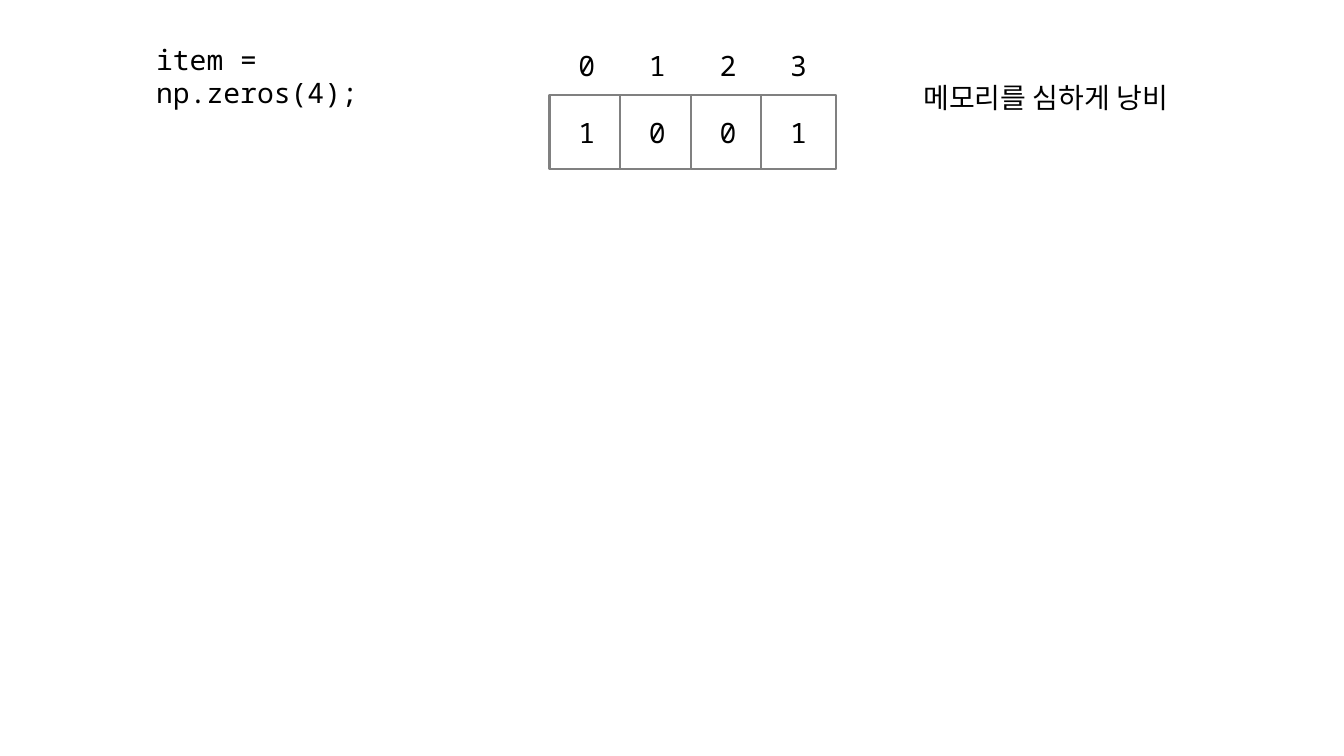
import dataclasses

import pptx
import pptx.dml.color
import pptx.enum.shapes
import pptx.enum.text
import pptx.util

EMU_PER_PX = 9144


@dataclasses.dataclass(frozen=True)
class Theme:
    text: str = "000000"
    cell_fill: str = "FFFFFF"
    cell_line: str = "808080"
    font: str = "Noto Sans Mono"
    text_size: int = 20
    line_width: float = 1.5


@dataclasses.dataclass(frozen=True)
class Label:
    text: str
    left: int
    top: int
    width: int
    height: int


@dataclasses.dataclass(frozen=True)
class ArrayItem:
    index: int
    value: int


THEME = Theme()
LABELS = [
    Label("item = np.zeros(4);", 145, 37, 313, 77),
    Label("메모리를 심하게 낭비", 906, 75, 303, 44),
]
ITEMS = [ArrayItem(index, value) for index, value in enumerate([1, 0, 0, 1])]
CELL_SIZE = 74
CELL_PITCH = 70
ARRAY_LEFT = 545
VALUE_TOP = 94
INDEX_TOP = 28


def px(length: int) -> pptx.util.Emu:
    return pptx.util.Emu(length * EMU_PER_PX)


def rgb(code: str) -> pptx.dml.color.RGBColor:
    return pptx.dml.color.RGBColor.from_string(code)


def write_text(shape, text: str) -> None:
    frame = shape.text_frame
    frame.word_wrap = True
    frame.text = text
    for span in frame.paragraphs[0].runs:
        span.font.name = THEME.font
        span.font.size = pptx.util.Pt(THEME.text_size)
        span.font.color.rgb = rgb(THEME.text)


def center_text(shape) -> None:
    frame = shape.text_frame
    frame.margin_left = frame.margin_right = px(4)
    frame.margin_top = frame.margin_bottom = px(5)
    frame.vertical_anchor = pptx.enum.text.MSO_ANCHOR.MIDDLE
    frame.paragraphs[0].alignment = pptx.enum.text.PP_ALIGN.CENTER


def add_label(page, label: Label):
    box = page.shapes.add_textbox(
        px(label.left), px(label.top), px(label.width), px(label.height)
    )
    write_text(box, label.text)
    return box


def add_value_cell(page, item: ArrayItem) -> None:
    cell = page.shapes.add_shape(
        pptx.enum.shapes.MSO_SHAPE.RECTANGLE,
        px(ARRAY_LEFT + item.index * CELL_PITCH),
        px(VALUE_TOP),
        px(CELL_SIZE),
        px(CELL_SIZE),
    )
    cell.shadow.inherit = False
    cell.fill.solid()
    cell.fill.fore_color.rgb = rgb(THEME.cell_fill)
    cell.line.color.rgb = rgb(THEME.cell_line)
    cell.line.width = pptx.util.Pt(THEME.line_width)
    write_text(cell, str(item.value))
    center_text(cell)


def add_index(page, item: ArrayItem) -> None:
    left = ARRAY_LEFT + item.index * CELL_PITCH
    label = Label(str(item.index), left, INDEX_TOP, CELL_SIZE, CELL_SIZE)
    center_text(add_label(page, label))


def main() -> None:
    deck = pptx.Presentation()
    deck.slide_width = px(1333)
    deck.slide_height = px(750)
    page = deck.slides.add_slide(deck.slide_layouts[6])
    code, remark = LABELS
    for label in (code, remark):
        box = add_label(page, label)
        box.text_frame.auto_size = pptx.enum.text.MSO_AUTO_SIZE.SHAPE_TO_FIT_TEXT
    for item in ITEMS:
        add_value_cell(page, item)
    for item in ITEMS:
        add_index(page, item)
    deck.save("out.pptx")


if __name__ == "__main__":
    main()
